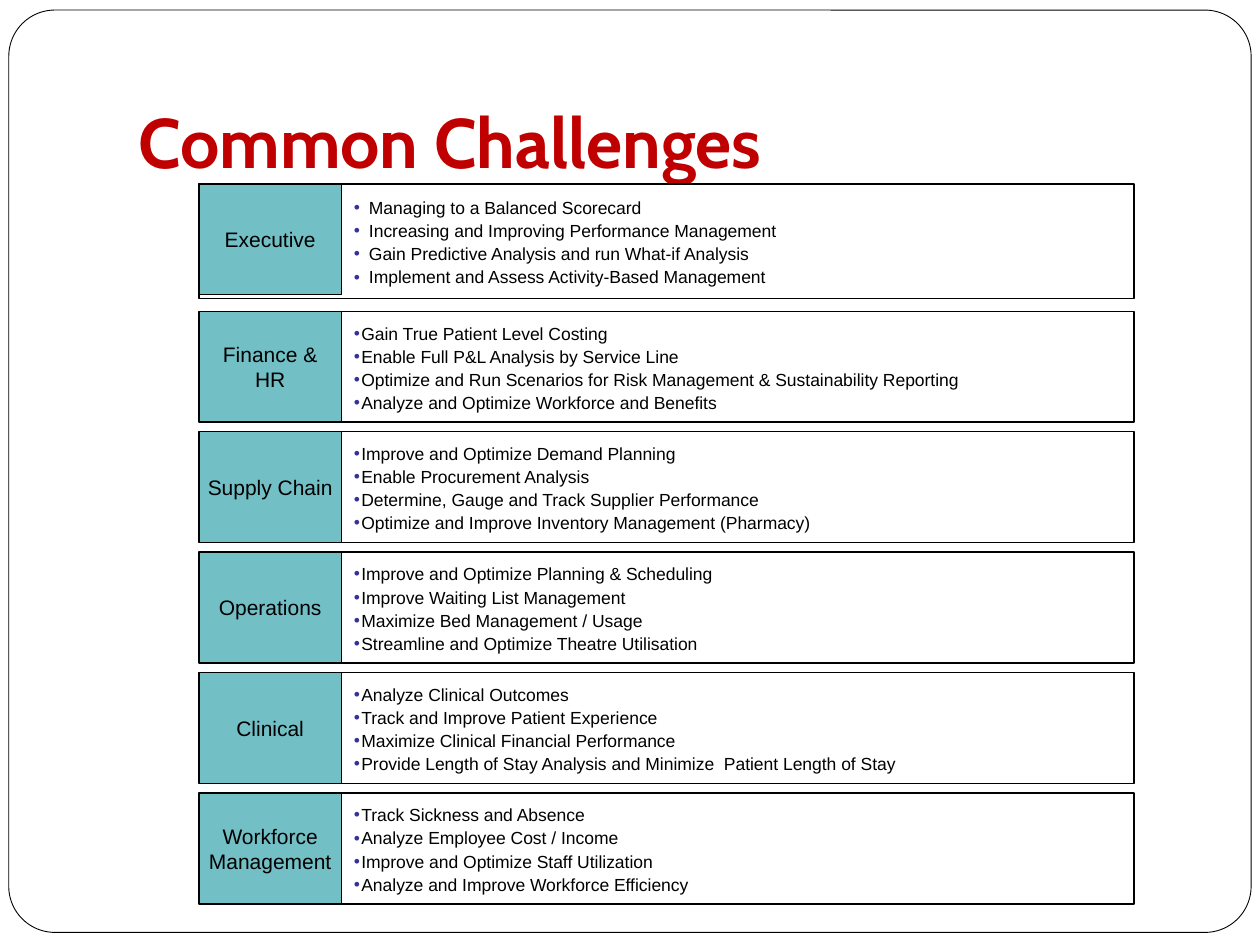
from dataclasses import dataclass
from pptx import Presentation
from pptx.dml.color import RGBColor as Rgb
from pptx.enum.shapes import MSO_SHAPE as Shape
from pptx.enum.text import MSO_ANCHOR as Anchor, PP_ALIGN as Align
from pptx.oxml.ns import qn
from pptx.util import Inches, Pt
from lxml.etree import SubElement as Sub


@dataclass(frozen=True)
class Theme:
    ink: str = "000000"
    paper: str = "FFFFFF"
    red: str = "C00000"
    teal: str = "72BFC5"
    dot: str = "333399"
    head: str = "Cabin"
    body: str = "Arial"
    large: int = 40
    mid: int = 12
    small: int = 10


LEFT, SPLIT, RIGHT = 15.8, 27.1, 90
TOP, NEXT, STEP, HIGH = 14.6, 24.7, 9.56, 8.8
GROUPS = [
    ("Executive", [
        "Managing to a Balanced Scorecard",
        "Increasing and Improving Performance Management",
        "Gain Predictive Analysis and run What-if Analysis",
        "Implement and Assess Activity-Based Management"]),
    ("Finance & HR", [
        "Gain True Patient Level Costing",
        "Enable Full P&L Analysis by Service Line",
        "Optimize and Run Scenarios for Risk Management & Sustainability Reporting",
        "Analyze and Optimize Workforce and Benefits"]),
    ("Supply Chain", [
        "Improve and Optimize Demand Planning",
        "Enable Procurement Analysis",
        "Determine, Gauge and Track Supplier Performance",
        "Optimize and Improve Inventory Management (Pharmacy)"]),
    ("Operations", [
        "Improve and Optimize Planning & Scheduling",
        "Improve Waiting List Management",
        "Maximize Bed Management / Usage",
        "Streamline and Optimize Theatre Utilisation"]),
    ("Clinical", [
        "Analyze Clinical Outcomes",
        "Track and Improve Patient Experience",
        "Maximize Clinical Financial Performance",
        "Provide Length of Stay Analysis and Minimize  Patient Length of Stay"]),
    ("Workforce Management", [
        "Track Sickness and Absence",
        "Analyze Employee Cost / Income",
        "Improve and Optimize Staff Utilization",
        "Analyze and Improve Workforce Efficiency"]),
]


def bullet(para, left, hang, color):
    props = para._p.get_or_add_pPr()
    props.set("marL", str(Inches(left)))
    props.set("indent", str(-Inches(hang)))
    tint = Sub(Sub(props, qn("a:buClr")), qn("a:srgbClr"))
    tint.set("val", color)
    Sub(props, qn("a:buFont")).set("typeface", "Arial")
    Sub(props, qn("a:buChar")).set("char", "•")


def write(shape, lines, *, font, size, color, bold=False, align=Align.LEFT,
          anchor=Anchor.MIDDLE, inset=(0.1, 0.05, 0.1, 0.05), space=1, dot=None):
    frame = shape.text_frame
    frame.word_wrap = True
    frame.vertical_anchor = anchor
    (frame.margin_left, frame.margin_top,
     frame.margin_right, frame.margin_bottom) = map(Inches, inset)
    for i, line in enumerate(lines):
        para = frame.add_paragraph() if i else frame.paragraphs[0]
        para.alignment = align
        para.line_spacing = space
        run = para.add_run()
        run.text = line
        run.font.name, run.font.size, run.font.bold = font, Pt(size), bold
        run.font.color.rgb = Rgb.from_string(color)
        if dot:
            bullet(para, *dot)


class Deck:
    def __init__(self, theme, cols=100, rows=75):
        self.theme = theme
        self.file = Presentation()
        self.file.slide_width, self.file.slide_height = Inches(10), Inches(7.5)
        self.cols, self.rows = cols, rows
        self.slide = self.file.slides.add_slide(self.file.slide_layouts[6])

    def place(self, x, y, w, h):
        col = self.file.slide_width / self.cols
        row = self.file.slide_height / self.rows
        return [round(n) for n in (x * col, y * row, w * col, h * row)]

    def box(self, *area, fill, kind=Shape.RECTANGLE, line=0.75):
        shape = self.slide.shapes.add_shape(kind, *self.place(*area))
        shape.shadow.inherit = False
        shape.fill.solid()
        shape.fill.fore_color.rgb = Rgb.from_string(fill)
        shape.line.color.rgb = Rgb.from_string(self.theme.ink)
        shape.line.width = Pt(line)
        return shape

    def border(self, *area):
        shape = self.box(*area, fill=self.theme.paper,
                         kind=Shape.ROUNDED_RECTANGLE, line=0.5)
        shape.adjustments[0] = 0.05

    def title(self, text, *area):
        look = self.theme
        shape = self.slide.shapes.add_textbox(*self.place(*area))
        write(shape, [text], font=look.head, size=look.large, color=look.red,
              bold=True, anchor=Anchor.BOTTOM, inset=(0.1, 0.05, 0.1, 0.1))

    def label(self, text, *area):
        look = self.theme
        write(self.box(*area, fill=look.teal), [text], font=look.body,
              size=look.mid, color=look.ink, align=Align.CENTER, inset=[0.05] * 4)

    def points(self, lines, *area, left=0.06, hang=0.06):
        look = self.theme
        write(self.box(*area, fill=look.paper), lines, font=look.body,
              size=look.small, color=look.ink, space=1.1,
              dot=(left, hang, look.dot))


def main():
    deck = Deck(Theme())
    deck.border(0.7, 0.8, 98.6, 73.2)
    deck.title("Common Challenges", 10, 3, 85, 12.5)
    for i, (name, lines) in enumerate(GROUPS):
        if i:
            y = NEXT + (i - 1) * STEP
            deck.points(lines, SPLIT, y, RIGHT - SPLIT, HIGH)
        else:
            y = TOP
            deck.points(lines, LEFT, y, RIGHT - LEFT, 9.1, left=1.25, hang=0.12)
        deck.label(name, LEFT, y, SPLIT - LEFT, HIGH)
    deck.file.save("out.pptx")


if __name__ == "__main__":
    main()
